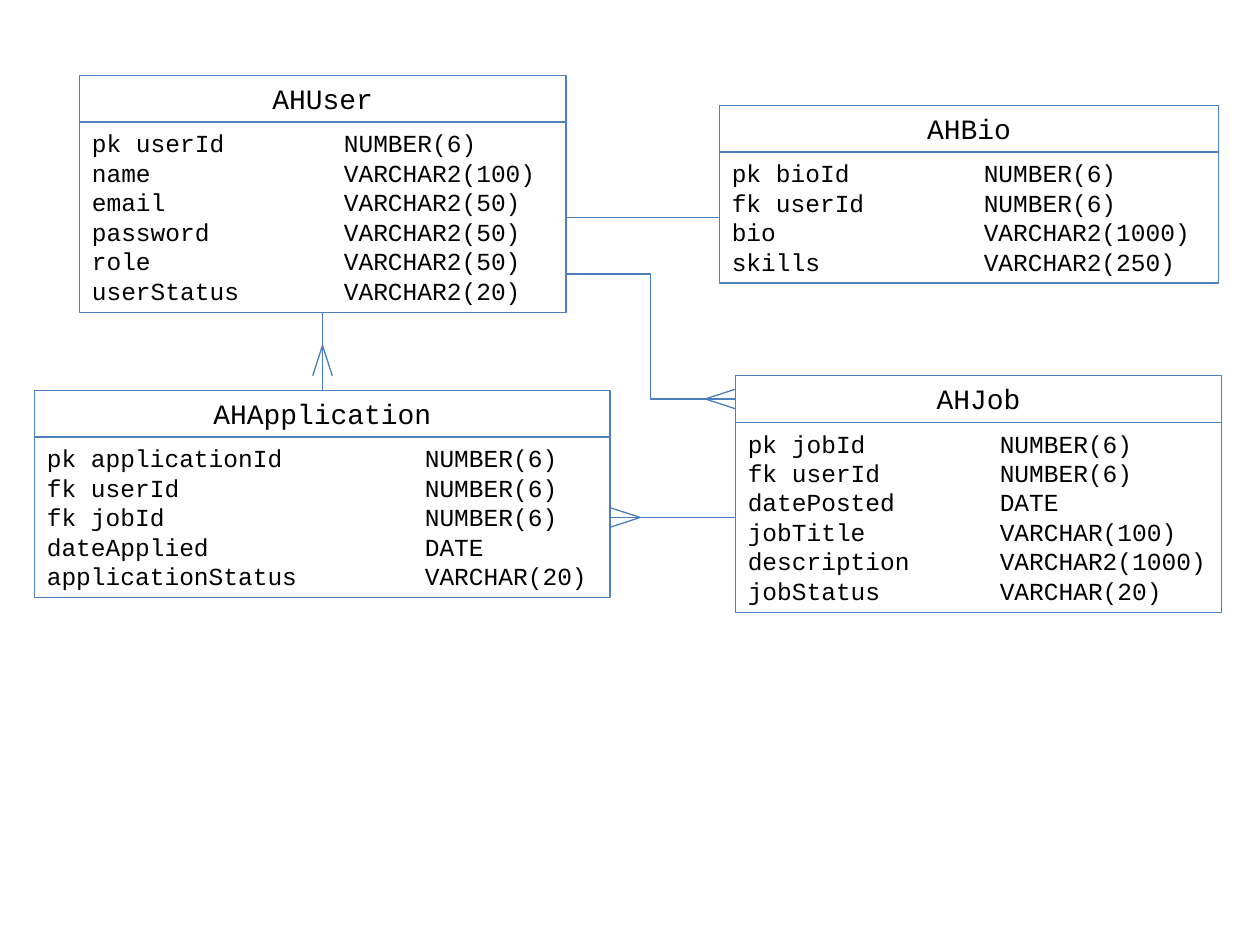
from lxml.etree import SubElement
from pptx import Presentation
from pptx.dml.color import RGBColor
from pptx.enum.shapes import MSO_CONNECTOR
from pptx.enum.text import MSO_AUTO_SIZE, PP_ALIGN
from pptx.oxml.ns import qn
from pptx.util import Pt

BORDER = RGBColor(0x4F, 0x81, 0xBD)
RELATION = RGBColor(0x4B, 0x7E, 0xBC)
TEXT = RGBColor(0, 0, 0)

FONT = "Courier New"
HEADER_HEIGHT = 26.65
ROW_HEIGHT = 16.92
INSET = 3.6
FOOT_LENGTH, FOOT_SPREAD = 17.3, 5.6

# Entity: name, left, top, width, offset of the type column, fields
ENTITIES = [
    ("AHUser", 45.4, 43.2, 278, 144, [
        ("pk userId", "NUMBER(6)"),
        ("name", "VARCHAR2(100)"),
        ("email", "VARCHAR2(50)"),
        ("password", "VARCHAR2(50)"),
        ("role", "VARCHAR2(50)"),
        ("userStatus", "VARCHAR2(20)"),
    ]),
    ("AHBio", 411.1, 60.3, 285.4, 144, [
        ("pk bioId", "NUMBER(6)"),
        ("fk userId", "NUMBER(6)"),
        ("bio", "VARCHAR2(1000)"),
        ("skills", "VARCHAR2(250)"),
    ]),
    ("AHJob", 420.2, 214.7, 278, 144, [
        ("pk jobId", "NUMBER(6)"),
        ("fk userId", "NUMBER(6)"),
        ("datePosted", "DATE"),
        ("jobTitle", "VARCHAR(100)"),
        ("description", "VARCHAR2(1000)"),
        ("jobStatus", "VARCHAR(20)"),
    ]),
    ("AHApplication", 19.7, 223.1, 329, 216, [
        ("pk applicationId", "NUMBER(6)"),
        ("fk userId", "NUMBER(6)"),
        ("fk jobId", "NUMBER(6)"),
        ("dateApplied", "DATE"),
        ("applicationStatus", "VARCHAR(20)"),
    ]),
]

# Relation: route, start, end
RELATIONS = [
    (MSO_CONNECTOR.STRAIGHT, (323.4, 124.3), (411.1, 124.3)),
    (MSO_CONNECTOR.STRAIGHT, (184.3, 179), (184.3, 223.1)),
    (MSO_CONNECTOR.STRAIGHT, (348.7, 295.7), (420.2, 295.7)),
    (MSO_CONNECTOR.ELBOW, (323.4, 156.6), (420.2, 228.1)),
]

# Crow's foot: apex and the direction in which it opens
CROWS_FEET = [
    ((184.3, 197.4), (0, 1)),
    ((365.9, 295.7), (-1, 0)),
    ((403, 228), (1, 0)),
]


def set_all(target, formats):
    for attribute, value in formats.items():
        setattr(target, attribute, value)


def add_box(slide, left, top, width, height, lines, size, align):
    box = slide.shapes.add_textbox(Pt(left), Pt(top), Pt(width), Pt(height))
    box.line.color.rgb = BORDER
    box.line.width = Pt(0.75)
    frame = box.text_frame
    set_all(frame, {"word_wrap": True,
                    "auto_size": MSO_AUTO_SIZE.SHAPE_TO_FIT_TEXT})
    frame.text = "\n".join(lines)
    for paragraph in frame.paragraphs:
        paragraph.alignment = align
        for run in paragraph.runs:
            set_all(run.font, {"name": FONT, "size": Pt(size)})
            run.font.color.rgb = TEXT
    return frame


def add_type_column(frame, offset):
    for paragraph in frame.paragraphs:
        stops = SubElement(paragraph._p.get_or_add_pPr(), qn("a:tabLst"))
        SubElement(stops, qn("a:tab"), pos=str(Pt(offset)), algn="l")


def add_entity(slide, name, left, top, width, type_offset, fields):
    add_box(slide, left, top, width, HEADER_HEIGHT, [name], 16, PP_ALIGN.CENTER)
    rows = ["\t".join(field) for field in fields]
    height = 2 * INSET + ROW_HEIGHT * len(rows)
    field_list = add_box(slide, left, top + HEADER_HEIGHT, width, height,
                         rows, 14, PP_ALIGN.LEFT)
    add_type_column(field_list, type_offset)


def add_relation(slide, route, start, end):
    relation = slide.shapes.add_connector(
        route, *(Pt(length) for length in (*start, *end)))
    relation.line.color.rgb = RELATION
    relation.line.width = Pt(0.75)
    SubElement(relation._element.spPr, qn("a:effectLst"))


def add_crows_foot(slide, apex, direction):
    (x, y), (dx, dy) = apex, direction
    for spread in (FOOT_SPREAD, -FOOT_SPREAD):
        toe = (x + dx * FOOT_LENGTH + dy * spread,
               y + dy * FOOT_LENGTH + dx * spread)
        add_relation(slide, MSO_CONNECTOR.STRAIGHT, apex, toe)


def main():
    deck = Presentation()
    set_all(deck, {"slide_width": Pt(720), "slide_height": Pt(540)})
    slide = deck.slides.add_slide(deck.slide_layouts[6])

    # Entities
    for entity in ENTITIES:
        add_entity(slide, *entity)

    # Relations with their crow's feet
    for relation in RELATIONS:
        add_relation(slide, *relation)
    for foot in CROWS_FEET:
        add_crows_foot(slide, *foot)

    deck.save("out.pptx")


main()
